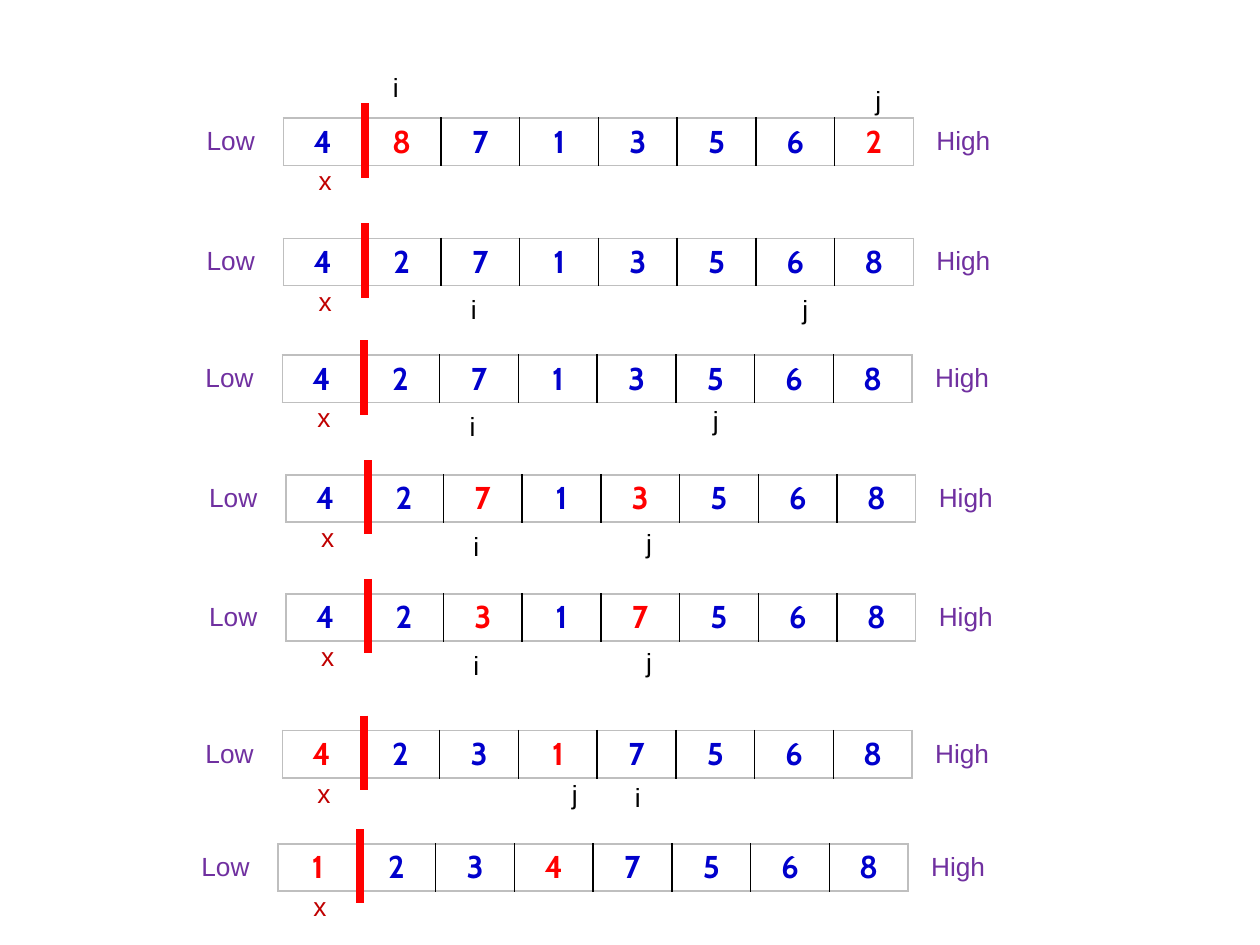
from dataclasses import dataclass
from lxml.etree import SubElement
from pptx import Presentation
from pptx.dml.color import RGBColor
from pptx.enum.shapes import MSO_CONNECTOR
from pptx.enum.text import MSO_ANCHOR, MSO_AUTO_SIZE, PP_ALIGN
from pptx.oxml.ns import qn
from pptx.util import Pt


@dataclass(frozen=True)
class Theme:
    digit: str = "0000CC"
    hot: str = "FF0000"
    bound: str = "7030A0"
    pivot: str = "C00000"
    mark: str = "000000"
    grid: str = "000000"
    edge: str = "BFBFBF"
    paper: str = "FFFFFF"
    face: str = "Arial"
    bold_face: str = "Cabin"
    label: int = 15
    number: int = 18


THEME = Theme()
CELL_W, CELL_H = 45, 27

STEPS = [
    (162, 67.5, "48713562", (1, 7), (55.4, -30.2), (331.2, -23)),
    (162, 136.2, "42713568", (), (100, 28), (289.4, 28)),
    (161.3, 203, "42713568", (), (100, 28), (239, 24.5)),
    (163.4, 271.4, "42713568", (2, 4), (100, 28), (198.7, 26.6)),
    (163.4, 339.3, "42317568", (2, 4), (100, 28), (198.7, 26.6)),
    (161.3, 417.5, "42317568", (0, 3), (194.4, 25.2), (158.4, 23.8)),
    (159, 482.3, "12347568", (0, 3), None, None),
]


def add_run(para, text, face, size, color, bold=False):
    run = para.add_run()
    run.text = text
    run.font.name = face
    run.font.size = Pt(size)
    run.font.bold = bold
    run.font.color.rgb = RGBColor.from_string(color)


def add_label(slide, text, left, top, width, color):
    box = slide.shapes.add_textbox(Pt(left), Pt(top), Pt(width), Pt(25.2))
    frame = box.text_frame
    frame.word_wrap = False
    frame.auto_size = MSO_AUTO_SIZE.SHAPE_TO_FIT_TEXT
    add_run(frame.paragraphs[0], text, THEME.face, THEME.label, color)


def set_edge(cell, side, color):
    line = SubElement(cell._tc.get_or_add_tcPr(), qn("a:" + side), w=str(Pt(1)))
    fill = SubElement(line, qn("a:solidFill"))
    SubElement(fill, qn("a:srgbClr"), val=color)


def fill_cell(cell, digit, col, last, hot):
    cell.margin_left = cell.margin_right = Pt(5.2)
    cell.margin_top = cell.margin_bottom = Pt(2.6)
    cell.vertical_anchor = MSO_ANCHOR.MIDDLE
    set_edge(cell, "lnL", THEME.grid if col > 0 else THEME.edge)
    set_edge(cell, "lnR", THEME.grid if col < last else THEME.edge)
    for side in ("lnT", "lnB"):
        set_edge(cell, side, THEME.edge)
    if col == 1:
        cell.fill.solid()
        cell.fill.fore_color.rgb = RGBColor.from_string(THEME.paper)
    else:
        cell.fill.background()
    para = cell.text_frame.paragraphs[0]
    para.alignment = PP_ALIGN.CENTER
    color = THEME.hot if hot else THEME.digit
    add_run(para, digit, THEME.bold_face, THEME.number, color, True)


def add_array(slide, left, top, digits, hot):
    count = len(digits)
    table = slide.shapes.add_table(
        1, count, Pt(left), Pt(top), Pt(CELL_W * count), Pt(CELL_H)
    ).table
    table.first_row = table.horz_banding = False
    table.rows[0].height = Pt(CELL_H)
    for col, digit in enumerate(digits):
        table.columns[col].width = Pt(CELL_W)
        fill_cell(table.cell(0, col), digit, col, count - 1, col in hot)


def add_bar(slide, x, top, height):
    bar = slide.shapes.add_connector(
        MSO_CONNECTOR.STRAIGHT, Pt(x), Pt(top), Pt(x), Pt(top + height)
    )
    bar.line.color.rgb = RGBColor.from_string(THEME.hot)
    bar.line.width = Pt(4.5)
    SubElement(bar._element.spPr, qn("a:effectLst"))


def add_step(slide, left, top, digits, hot, i_pos, j_pos):
    add_array(slide, left, top, digits, hot)
    add_bar(slide, left + 46.8, top - 8.5, 42.5)
    add_label(slide, "Low", left - 51, top, 44.6, THEME.bound)
    add_label(slide, "High", left + 366, top, 48.2, THEME.bound)
    add_label(slide, "x", left + 13, top + 23, 23, THEME.pivot)
    for text, pos in (("i", i_pos), ("j", j_pos)):
        if pos:
            add_label(slide, text, left + pos[0], top + pos[1], 18.7, THEME.mark)


def main():
    deck = Presentation()
    deck.slide_width, deck.slide_height = Pt(720), Pt(540)
    slide = deck.slides.add_slide(deck.slide_layouts[6])
    for step in STEPS:
        add_step(slide, *step)
    deck.save("out.pptx")


if __name__ == "__main__":
    main()
